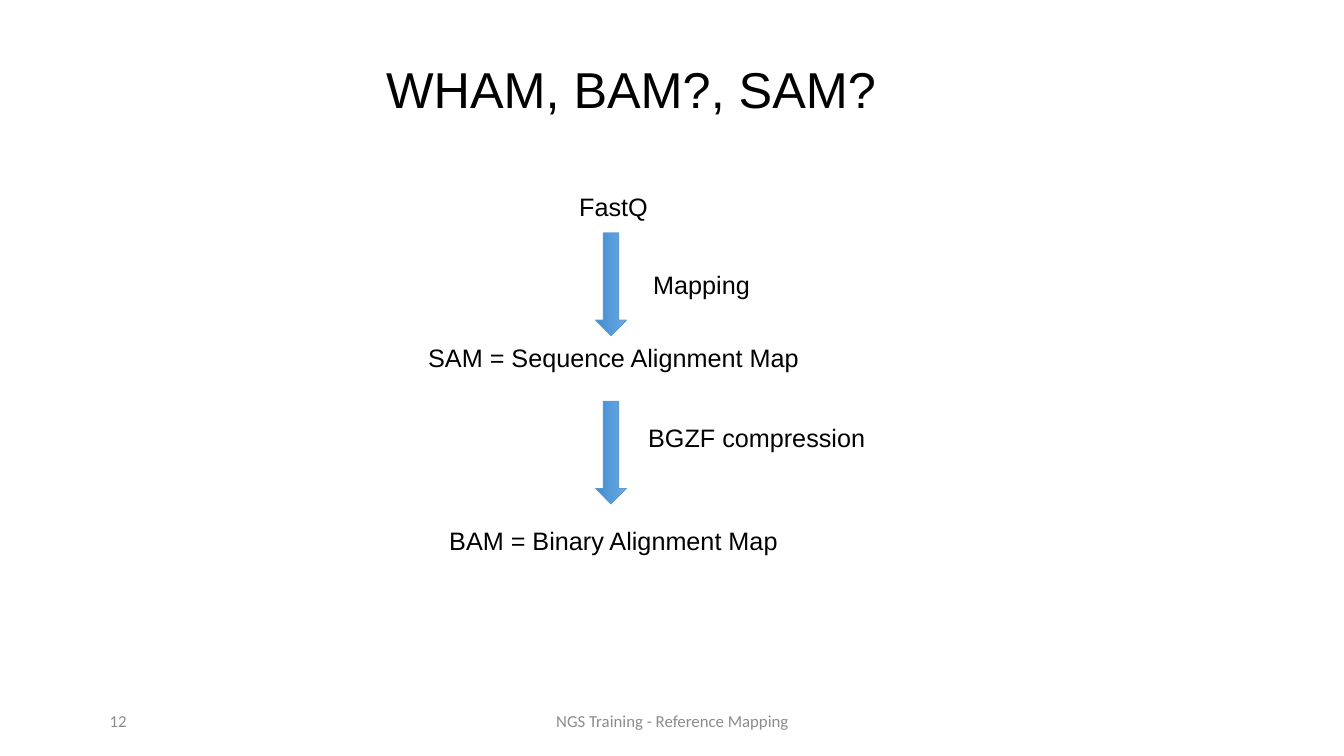
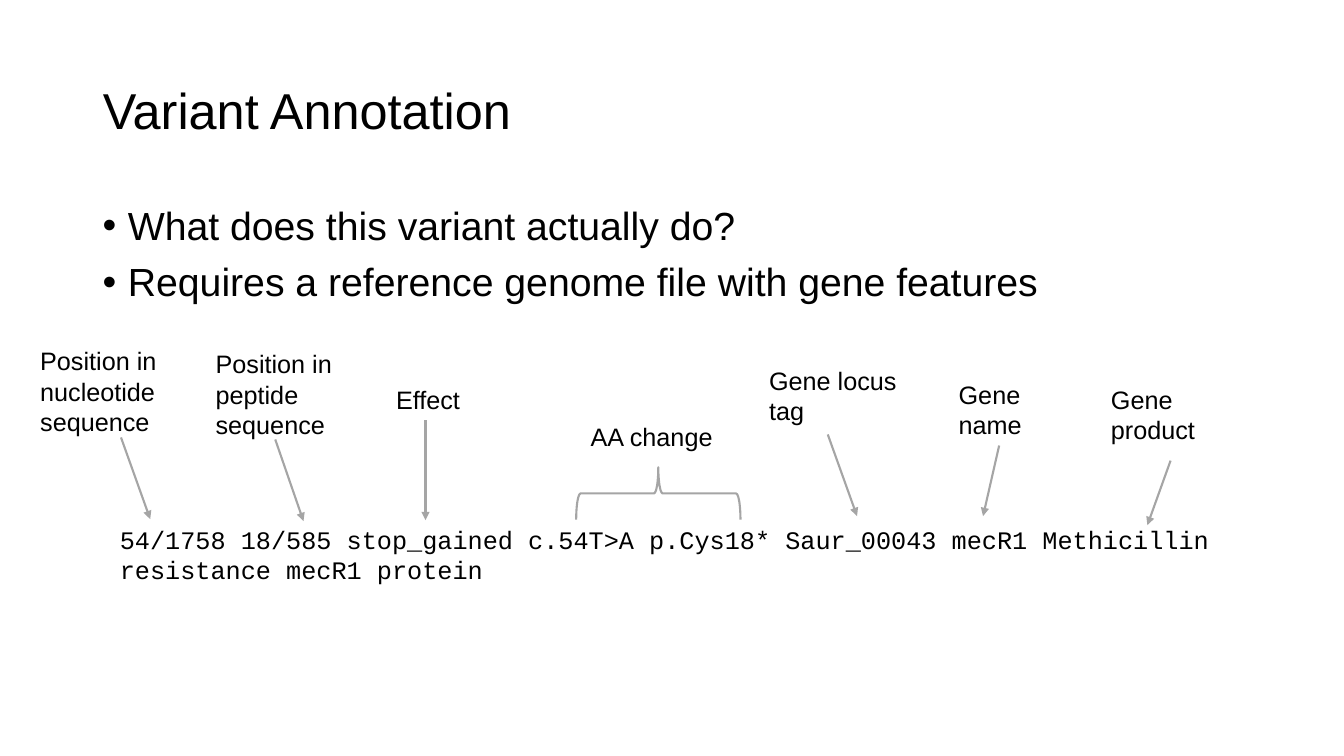
from dataclasses import dataclass
from typing import Optional

import pptx
import pptx.util
import pptx.dml.color
import pptx.enum.shapes
import pptx.enum.text
import pptx.oxml
import pptx.oxml.ns
from lxml import etree
from pptx.util import Inches

Align = pptx.enum.text.PP_ALIGN
Anchor = pptx.enum.text.MSO_ANCHOR
Shapes = pptx.enum.shapes.MSO_SHAPE
Point = tuple[float, float]


@dataclass(frozen=True)
class Theme:
    text: str = "000000"
    footer: str = "8C8C8C"
    pointer: str = "A5A5A5"
    arrow_line: str = "5B9BD5"
    arrow_gradient: tuple[str, ...] = ("448ACA", "559BDB", "71A6DB")
    font: str = "Arial"
    footer_font: str = "Calibri"
    code_font: str = "Courier New"
    title_size: int = 36
    bullet_size: int = 28
    body_size: int = 18
    footer_size: int = 12
    pointer_width: float = 1.5


@dataclass(frozen=True)
class Box:
    left: float
    top: float
    width: float
    height: float

    def lengths(self) -> tuple:
        return tuple(Inches(value) for value in (self.left, self.top, self.width, self.height))


@dataclass(frozen=True)
class Callout:
    text: str
    left: float
    top: float
    height: float
    start: Optional[Point] = None
    tip: Optional[Point] = None


THEME = Theme()
LINE_HEIGHT = 0.4
FLOW_CENTRE = 6.06
ARROW_WIDTH, ARROW_HEIGHT = 0.31, 1.02
CALLOUT_WIDTH = 1.49

FORMATS = (("FastQ", 1.85), ("SAM = Sequence Alignment Map", 3.35), ("BAM = Binary Alignment Map", 5.16))
STEPS = (("Mapping", 6.38, 2.62, 2.31), ("BGZF compression", 6.33, 4.14, 3.98))
CALLOUTS = (
    Callout("Position in nucleotide sequence", 0.3, 3.38, 1.01, (1.2, 4.34), (1.49, 5.15)),
    Callout("Position in peptide sequence", 2.04, 3.41, 1.01, (2.73, 4.36), (3.01, 5.17)),
    Callout("Effect", 3.83, 3.76, 0.4, (4.22, 4.17), (4.22, 5.16)),
    Callout("AA change", 5.76, 4.13, 0.4),
    Callout("Gene locus tag", 7.53, 3.57, 0.71, (8.21, 4.31), (8.5, 5.12)),
    Callout("Gene name", 9.41, 3.71, 0.71, (9.91, 4.42), (9.75, 5.12)),
    Callout("Gene product", 10.92, 3.76, 0.71, (11.61, 4.57), (11.38, 5.21)),
)


def rgb(value: str) -> pptx.dml.color.RGBColor:
    return pptx.dml.color.RGBColor.from_string(value)


def add_child(parent: etree._Element, tag: str, **attributes: str) -> etree._Element:
    child = etree.SubElement(parent, pptx.oxml.ns.qn(tag))
    for name, value in attributes.items():
        child.set(name, value)
    return child


def write_text(shape, *lines: str, size: int = THEME.body_size, font: str = THEME.font,
               color: str = THEME.text, align=Align.LEFT, anchor=Anchor.TOP,
               line_spacing: Optional[float] = None, space_before: float = 0,
               bullet: bool = False) -> None:
    """Fill a shape with one formatted paragraph for each line."""
    frame = shape.text_frame
    frame.word_wrap = True
    frame.vertical_anchor = anchor
    frame.text = "\n".join(lines)
    for paragraph in frame.paragraphs:
        paragraph.alignment = align
        paragraph.line_spacing = line_spacing
        paragraph.space_before = pptx.util.Pt(space_before)
        paragraph.font.size = pptx.util.Pt(size)
        for run in paragraph.runs:
            run.font.size = pptx.util.Pt(size)
            run.font.name = font
            run.font.color.rgb = rgb(color)
        if bullet:
            properties = paragraph._p.get_or_add_pPr()
            indent = Inches(0.25)
            properties.set("marL", str(indent))
            properties.set("indent", str(-indent))
            # Bullet elements must precede the default run properties.
            defaults = properties.find(pptx.oxml.ns.qn("a:defRPr"))
            marks = (add_child(properties, "a:buFont", typeface=font),
                     add_child(properties, "a:buChar", char="•"))
            if defaults is not None:
                for mark in marks:
                    defaults.addprevious(mark)


def add_text(slide, box: Box, *lines: str, **text_format) -> None:
    write_text(slide.shapes.add_textbox(*box.lengths()), *lines, **text_format)


def add_titled_slide(presentation, title: str, box: Box):
    slide = presentation.slides.add_slide(presentation.slide_layouts.get_by_name("Title Only"))
    shape = slide.shapes.title
    shape.left, shape.top, shape.width, shape.height = box.lengths()
    write_text(shape, title, size=THEME.title_size, anchor=Anchor.MIDDLE, line_spacing=0.9)
    return slide


def add_footer(slide, number: str, text: str) -> None:
    for content, box, align in (
        (number, Box(0.99, 6.95, 3, LINE_HEIGHT), Align.LEFT),
        (text, Box(4.42, 6.95, 4.5, LINE_HEIGHT), Align.CENTER),
    ):
        add_text(slide, box, content, size=THEME.footer_size, font=THEME.footer_font,
                 color=THEME.footer, align=align, anchor=Anchor.MIDDLE)


def add_flow_arrow(slide, top: float) -> None:
    box = Box(FLOW_CENTRE - ARROW_WIDTH / 2, top, ARROW_WIDTH, ARROW_HEIGHT)
    arrow = slide.shapes.add_shape(Shapes.DOWN_ARROW, *box.lengths())
    arrow.shadow.inherit = False
    arrow.line.color.rgb = rgb(THEME.arrow_line)
    arrow.line.width = pptx.util.Pt(0.5)
    arrow.fill.gradient()
    arrow.fill.gradient_angle = 0
    stops = arrow._element.spPr.find(".//" + pptx.oxml.ns.qn("a:gsLst"))
    for stop in list(stops):
        stops.remove(stop)
    last = len(THEME.arrow_gradient) - 1
    for index, color in enumerate(THEME.arrow_gradient):
        stop = add_child(stops, "a:gs", pos=str(100000 * index // last))
        add_child(stop, "a:srgbClr", val=color)


def format_pointer(shape) -> None:
    shape.line.color.rgb = rgb(THEME.pointer)
    shape.line.width = pptx.util.Pt(THEME.pointer_width)


def add_pointer(slide, start: Point, tip: Point) -> None:
    ends = (Inches(value) for value in (*start, *tip))
    connector = slide.shapes.add_connector(pptx.enum.shapes.MSO_CONNECTOR.STRAIGHT, *ends)
    format_pointer(connector)
    add_child(connector.line._get_or_add_ln(), "a:tailEnd", type="triangle")
    add_child(connector._element.spPr, "a:effectLst")


def add_brace(slide) -> None:
    box = Box(6.27, 4.08, 0.52, 1.63)
    brace = slide.shapes.add_shape(Shapes.RIGHT_BRACE, *box.lengths())
    brace.rotation = 270
    brace.shadow.inherit = False
    brace.fill.background()
    format_pointer(brace)


def build_formats_slide(presentation) -> None:
    slide = add_titled_slide(presentation, "WHAM, BAM?, SAM?", Box(3.73, 0.56, 5.19, 0.71))
    for text, top in FORMATS:
        add_text(slide, Box(3.47, top, 5.23, LINE_HEIGHT), text, align=Align.CENTER)
    for text, left, top, arrow_top in STEPS:
        add_text(slide, Box(left, top, 3.75, LINE_HEIGHT), text)
        add_flow_arrow(slide, arrow_top)
    add_footer(slide, "12", "NGS Training - Reference Mapping")


def build_annotation_slide(presentation) -> None:
    slide = add_titled_slide(presentation, "Variant Annotation", Box(0.92, 0.4, 11.5, 1.45))
    add_text(slide, Box(0.92, 2, 11.5, 1.08), "What does this variant actually do?",
             "Requires a reference genome file with gene features",
             size=THEME.bullet_size, line_spacing=0.9, space_before=10, bullet=True)
    add_text(slide, Box(1.09, 5.15, 11.43, 1.01),
             "54/1758 18/585 stop_gained c.54T>A p.Cys18* Saur_00043 mecR1 Methicillin "
             "resistance mecR1 protein", font=THEME.code_font)
    for callout in CALLOUTS:
        add_text(slide, Box(callout.left, callout.top, CALLOUT_WIDTH, callout.height), callout.text)
        if callout.start and callout.tip:
            add_pointer(slide, callout.start, callout.tip)
    add_brace(slide)


def main() -> None:
    presentation = pptx.Presentation()
    presentation.slide_width = Inches(13.33)
    presentation.slide_height = Inches(7.5)
    build_formats_slide(presentation)
    build_annotation_slide(presentation)
    presentation.save("out.pptx")


if __name__ == "__main__":
    main()
